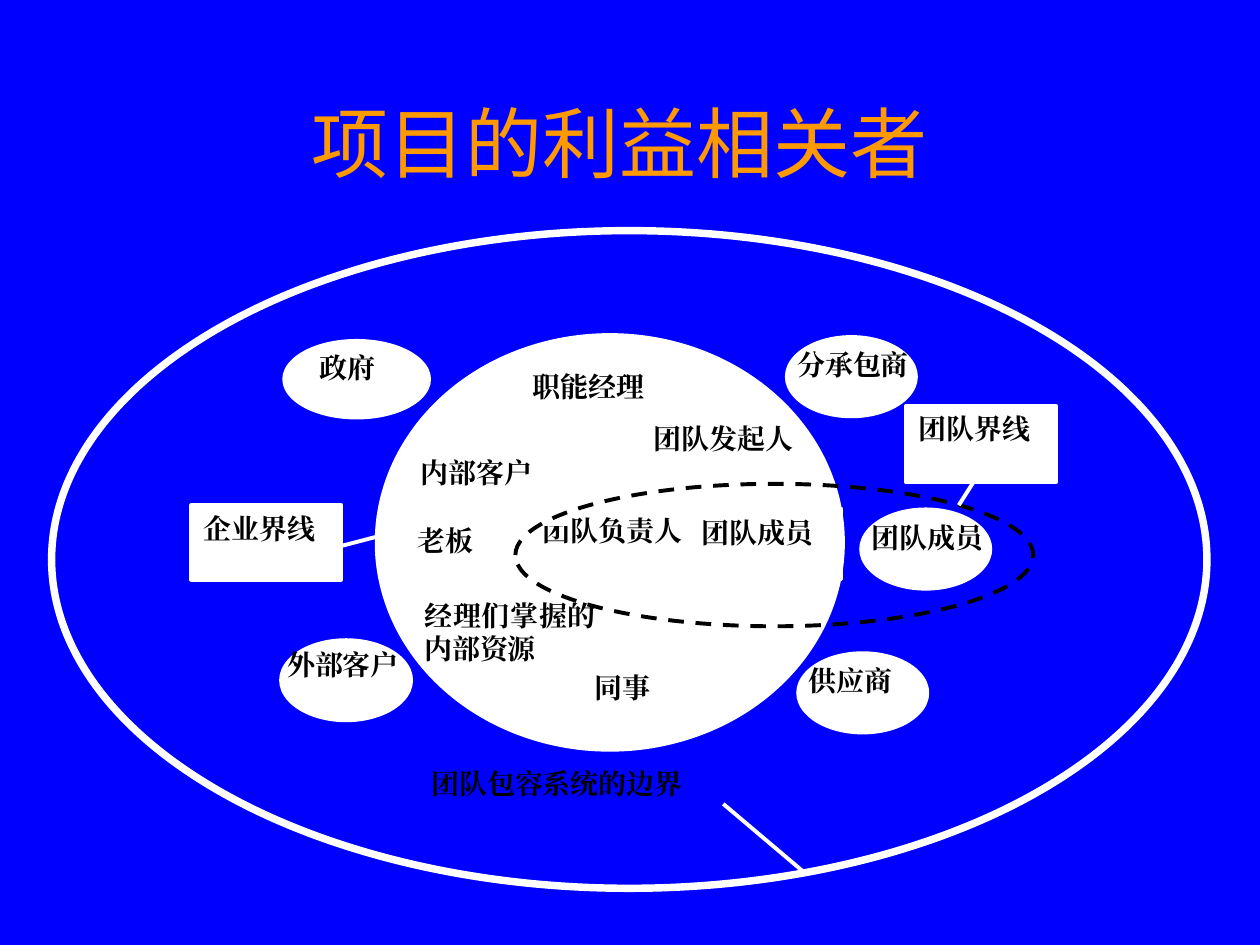
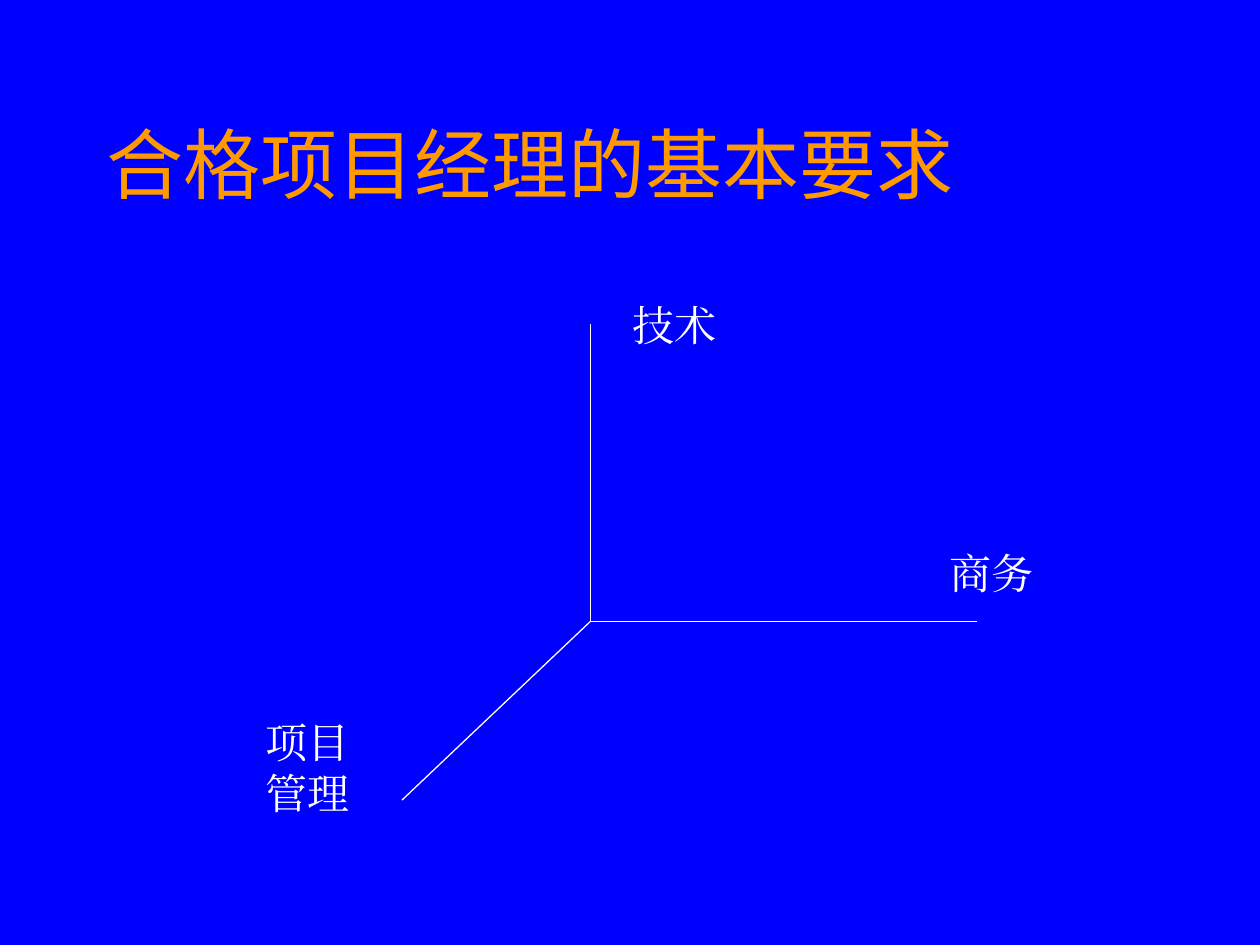
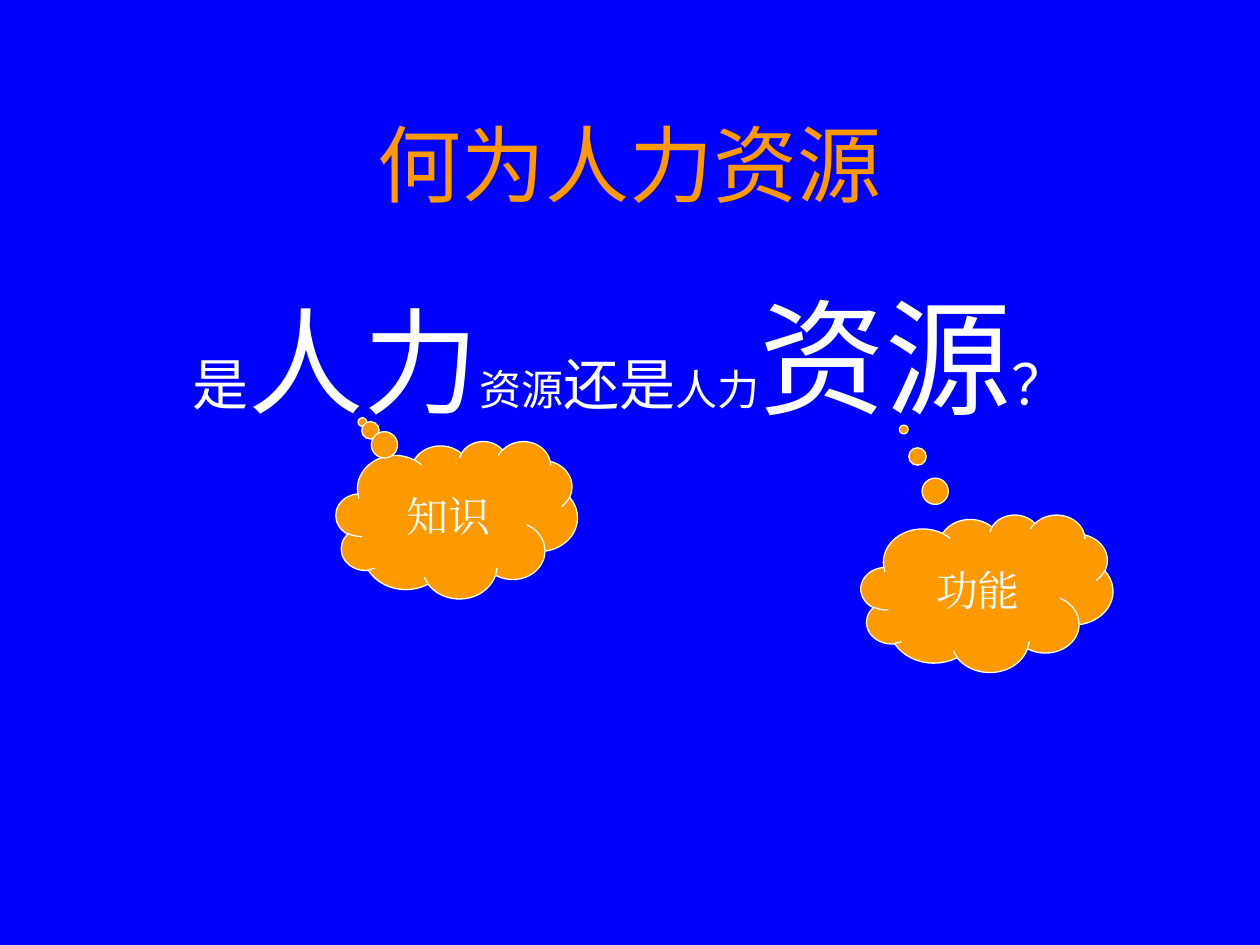
"""Build three slides on project stakeholders, manager skills and human resources."""
from lxml import etree
from pptx import Presentation
from pptx.dml.color import RGBColor as Rgb
from pptx.enum import dml, shapes, text
from pptx.oxml import ns
from pptx.util import Pt

HUES = {"back": "0000FF", "head": "FF9900", "white": "FFFFFF", "black": "000000"}
SANS, SERIF = "Noto Sans CJK SC", "Times New Roman"
OVAL, RECT = shapes.MSO_SHAPE.OVAL, shapes.MSO_SHAPE.RECTANGLE
CLOUD = shapes.MSO_SHAPE.CLOUD_CALLOUT
LEFT, MID, JUST = text.PP_ALIGN.LEFT, text.PP_ALIGN.CENTER, text.PP_ALIGN.JUSTIFY


def put(page, kind, at, fill=None, line=None, wide=2.25):
    """Add a preset shape, or a text box when kind is None."""
    at = [Pt(n) for n in at]
    if kind is None:
        return page.shapes.add_textbox(*at)
    item = page.shapes.add_shape(kind, *at)
    item.shadow.inherit = False
    if fill:
        item.fill.solid()
        item.fill.fore_color.rgb = Rgb.from_string(HUES[fill])
    else:
        item.fill.background()
    if line:
        item.line.color.rgb = Rgb.from_string(HUES[line])
        item.line.width = Pt(wide)
    else:
        item.line.fill.background()
    return item


def write(item, parts, hue, face=SERIF, align=LEFT, bold=False, mid=False, wrap=True):
    """Fill a shape with one paragraph made of (words, size) parts."""
    frame = item.text_frame
    frame.word_wrap = wrap
    frame.vertical_anchor = text.MSO_ANCHOR.MIDDLE if mid else text.MSO_ANCHOR.TOP
    para = frame.paragraphs[0]
    para.alignment = align
    for words, size in parts:
        run = para.add_run()
        run.text = words
        run.font.size = Pt(size)
        run.font.bold = bold
        run.font.color.rgb = Rgb.from_string(HUES[hue])
        run.font.name = face
        east = etree.SubElement(run._r.get_or_add_rPr(), ns.qn("a:ea"))
        east.set("typeface", face)


deck = Presentation()
deck.slide_width, deck.slide_height = Pt(720), Pt(540)
ground = deck.slide_master.background.fill
ground.solid()
ground.fore_color.rgb = Rgb.from_string(HUES["back"])

heads = [
    ("项目的利益相关者", 44, 48, 36, MID),
    ("合格项目经理的基本要求", 44, 54, 48, LEFT),
    ("何为人力资源", 48, 54, 48, MID),
]
pages = []
for words, size, x, y, align in heads:
    page = deck.slides.add_slide(deck.slide_layouts[6])
    title = put(page, None, (x, y, 612, 90))
    write(title, [(words, size)], "head", SANS, align, mid=True)
    pages.append(page)
parties, skills, people = pages

put(parties, OVAL, (29.5, 131.8, 660.2, 375.8), line="white", wide=4.25)
outer = [
    ("政府", (161.3, 193.7, 85, 46), (175.7, 196.6)),
    ("分承包商", (448.5, 191.5, 76, 47.5), (448.5, 195.1)),
    ("外部客户", (159.5, 364.7, 76.5, 48), (157, 366.5)),
    ("供应商", (455, 372.2, 76, 47.5), (455, 375.8)),
    ("团队成员", (491, 290, 76, 47.5), (491, 293.8)),
]
for words, oval, spot in outer:
    put(parties, OVAL, oval, "white")
    label = put(parties, None, (*spot, 88, 47.5))
    write(label, [(words, 16)], "black", align=JUST, bold=True)

put(parties, OVAL, (215.3, 191.5, 266.4, 236.9), "white", "white")
inner = [
    ("职能经理", RECT, None, (297.4, 207.4, 96.5, 49.7)),
    ("团队负责人", RECT, None, (303.1, 290.2, 103, 45.4)),
    ("团队成员", RECT, None, (393.8, 290.9, 87.1, 40.3)),
    ("团队发起人", None, None, (366.5, 237.6, 97.9, 47.5)),
    ("内部客户", RECT, "white", (233.3, 257, 90.7, 42.5)),
    ("同事", None, None, (332.6, 379.4, 63.4, 43.9)),
    ("经理们掌握的内部资源", None, None, (235.4, 338.4, 112.3, 81.4)),
    ("企业界线", RECT, "white", (109.4, 288.7, 85.7, 42.5)),
    ("团队界线", RECT, "white", (517.7, 231.8, 85.7, 43.9)),
    ("老板", RECT, None, (231.8, 295.9, 57.6, 41)),
]
for words, kind, fill, at in inner:
    label = put(parties, kind, at, fill, "white")
    write(label, [(words, 16)], "black", align=JUST, bold=True)
team = put(parties, OVAL, (294.5, 276.5, 295.9, 81.4), line="black")
team.line.dash_style = dml.MSO_LINE.DASH
label = put(parties, None, (221.8, 434.2, 193, 49))
write(label, [("团队包容系统的边界", 16)], "black", align=MID, bold=True)

axes = [
    ("技术", (354.2, 167.8, 73.4, 36)),
    ("商务", (535.7, 309.6, 67.7, 36)),
    ("项目管理", (144.7, 406.1, 85, 64.8)),
]
for words, at in axes:
    write(put(skills, None, at), [(words, 24)], "white")

parts = [("是", 32), ("人力", 66), ("资源", 24), ("还是", 32),
         ("人力", 24), ("资源", 72), ("？", 32)]
ask = put(people, None, (54, 156, 612, 324))
write(ask, parts, "white", SANS, MID)
clouds = [
    ("知识", (192, 252, 138, 90), (-0.39, -0.62)),
    ("功能", (492, 294, 144, 90), (-0.33, -1.04)),
]
for words, at, tail in clouds:
    cloud = put(people, CLOUD, at, "head", "white", 0.75)
    cloud.adjustments[0], cloud.adjustments[1] = tail
    write(cloud, [(words, 24)], "white", align=MID, mid=True, wrap=False)

hub = (337.5, 355)
lines = [
    (parties, (195.8, 311.8), (215.3, 306.7), 2.25),
    (parties, (556.6, 275), (547.9, 288.7), 2.25),
    (parties, (413.3, 459.4), (460.1, 499), 2.25),
    (skills, hub, (337.5, 185), 0.75),
    (skills, hub, (558.5, 355), 0.75),
    (skills, hub, (229.7, 457.2), 0.75),
]
for page, start, end, wide in lines:
    ends = [Pt(n) for n in (*start, *end)]
    line = page.shapes.add_connector(shapes.MSO_CONNECTOR.STRAIGHT, *ends)
    line.line.color.rgb = Rgb.from_string(HUES["white"])
    line.line.width = Pt(wide)
    etree.SubElement(line._element.spPr, ns.qn("a:effectLst"))

deck.save("out.pptx")
